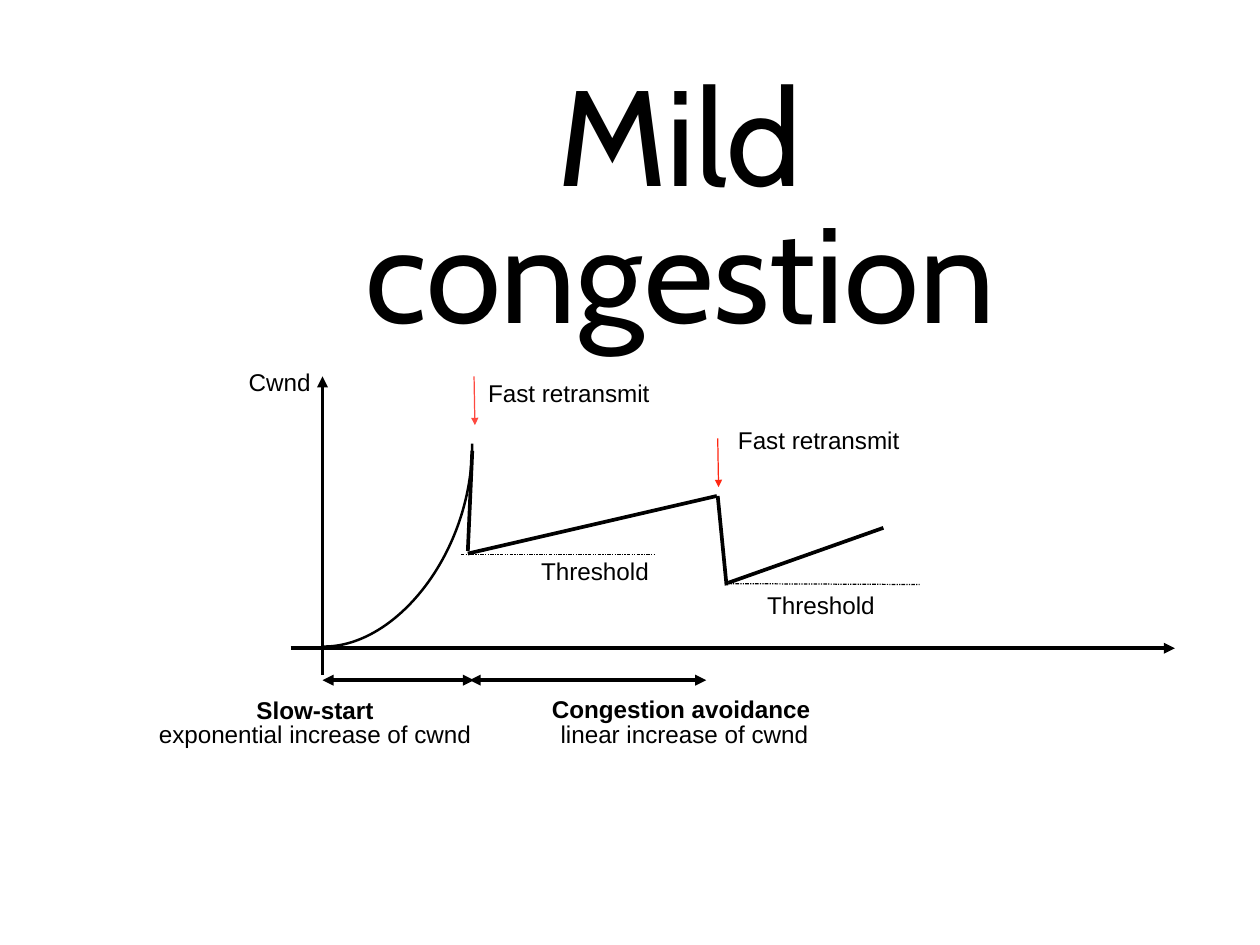
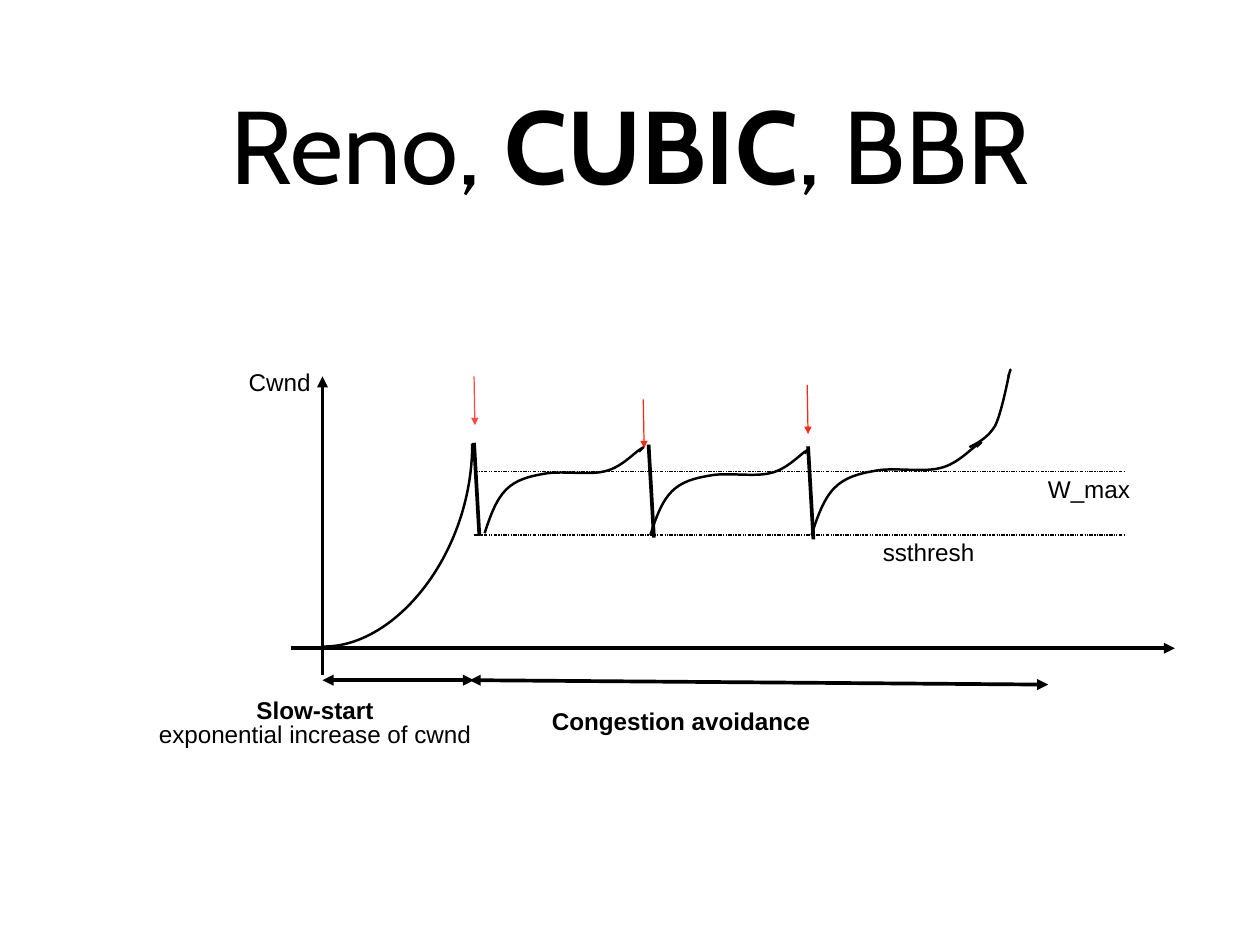
from lxml.etree import SubElement
from pptx import Presentation
from pptx.dml.color import RGBColor
from pptx.enum.shapes import MSO_CONNECTOR as CONN
from pptx.enum.text import MSO_ANCHOR as ANCHOR, MSO_AUTO_SIZE as AUTO, PP_ALIGN as ALIGN
from pptx.oxml.ns import qn
from pptx.util import Inches, Pt

COLORS = {"black": "000000", "coral": "FE4940", "red": "FF2712"}
SLOW_START = [(0.81, 0), (1.67, -1.05), (1.67, -2.29)]
CUBIC_WAVE = [
    (0.06, -0.19), (0.13, -0.38), (0.24, -0.49),
    (0.35, -0.6), (0.49, -0.64), (0.67, -0.67),
    (0.86, -0.71), (1.18, -0.65), (1.36, -0.7),
    (1.54, -0.74), (1.69, -0.91), (1.76, -0.95),
    (1.82, -0.99), (1.78, -0.96), (1.74, -0.92),
]
PROBING = [
    (0.1, -0.05), (0.21, -0.11), (0.29, -0.24),
    (0.36, -0.38), (0.43, -0.74), (0.45, -0.83),
    (0.48, -0.93), (0.46, -0.86), (0.44, -0.8),
]


class Deck:
    """Hold the shared style and the current slide."""

    def __init__(self):
        """Start an empty presentation."""
        self.prs = Presentation()
        self.prs.slide_width, self.prs.slide_height = Inches(14.22), Inches(10.67)

    def font(self, r, size, name, bold=False):
        """Format one run."""
        r.font.size, r.font.name, r.font.bold = Pt(size), name, bold
        r.font.color.rgb = RGBColor.from_string(COLORS["black"])

    def frame(self, tf, margin, wrap, fit):
        """Set up a vertically centred text frame."""
        tf.word_wrap, tf.auto_size, tf.vertical_anchor = wrap, fit, ANCHOR.MIDDLE
        tf.margin_left = tf.margin_right = tf.margin_top = tf.margin_bottom = Inches(margin)

    def slide(self, box, parts, size, spacing, bold_part=None):
        """Add a slide with a formatted title."""
        self.s = self.prs.slides.add_slide(self.prs.slide_layouts[5])
        sp = self.s.shapes.title
        sp.left, sp.top, sp.width, sp.height = map(Inches, box)
        self.frame(sp.text_frame, 0.06, True, AUTO.NONE)
        p = sp.text_frame.paragraphs[0]
        p.alignment, p.line_spacing = ALIGN.CENTER, spacing
        for part in parts:
            r = p.add_run()
            r.text = part
            self.font(r, size, "Cabin", part == bold_part)

    def label(self, x, y, w, text, h=0.29, bold_first=False):
        """Add a centred label, optionally with a bold first line."""
        sp = self.s.shapes.add_textbox(*map(Inches, (x, y, w, h)))
        tf = sp.text_frame
        tf.text = text
        self.frame(tf, 0, False, AUTO.SHAPE_TO_FIT_TEXT)
        for i, p in enumerate(tf.paragraphs):
            p.alignment, p.line_spacing = ALIGN.CENTER, 0.84
            self.font(p.runs[0], 19.7, "Arial", bold_first and i == 0)

    def line(self, x1, y1, x2, y2, width=3, color="black", dash=None, ends=()):
        """Add a straight line with optional dash and arrowheads."""
        sp = self.s.shapes.add_connector(CONN.STRAIGHT, *map(Inches, (x1, y1, x2, y2)))
        sp.line.width = Pt(width)
        sp.line.color.rgb = RGBColor.from_string(COLORS[color])
        ln = sp.line._get_or_add_ln()
        if dash:
            SubElement(ln, qn("a:prstDash"), val=dash)
        for end in ends:
            SubElement(ln, qn(f"a:{end}"), type="triangle")
        SubElement(sp._element.spPr, qn("a:effectLst"))

    def threshold(self, x1, y1, x2, y2):
        """Add a thin dashed level."""
        self.line(x1, y1, x2, y2, 1, dash="sysDashDotDot")

    def loss(self, x, y, color="red"):
        """Add a short arrow pointing down at a loss."""
        self.line(x, y, x + 0.01, y + 0.55, 1, color, ends=["tailEnd"])

    def span(self, x1, y1, x2, y2):
        """Add a double-headed phase arrow."""
        self.line(x1, y1, x2, y2, ends=["headEnd", "tailEnd"])

    def curve(self, x, y, controls, sx=1, sy=1):
        """Add an open curve of cubic segments starting at a point."""
        fb = self.s.shapes.build_freeform(Inches(x), Inches(y))
        fb.add_line_segments([(Inches(x + sx * dx), Inches(y + sy * dy))
                              for dx, dy in controls], close=False)
        sp = fb.convert_to_shape()
        outline = next(sp._element.iter(qn("a:path")))
        steps = outline.findall(qn("a:lnTo"))
        for i in range(0, len(steps), 3):
            cubic_step = SubElement(outline, qn("a:cubicBezTo"))
            for step in steps[i:i + 3]:
                cubic_step.append(step[0])
                outline.remove(step)
        sp.shadow.inherit = False
        sp.fill.background()
        sp.line.width = Pt(2)
        sp.line.color.rgb = RGBColor.from_string(COLORS["black"])

    def slow_start(self):
        """Add the axes and the slow-start phase."""
        self.line(3.64, 7.62, 3.64, 4.25, ends=["tailEnd"])
        self.line(3.28, 7.32, 13.26, 7.32, ends=["tailEnd"])
        self.label(2.8, 4.19, 0.71, "Cwnd")
        self.curve(3.66, 7.3, SLOW_START)
        self.loss(5.35, 4.25, "coral")
        self.span(3.64, 7.68, 5.35, 7.68)
        self.label(1.77, 7.9, 3.57, "Slow-start\nexponential increase of cwnd", 0.56, True)


def mild_congestion(d):
    """Build the slide on mild congestion."""
    d.slide((2.54, 1.55, 10.27, 1.73), ["Mild congestion"], 110.3, 0.84)
    d.slow_start()
    for x, y in [(5.5, 4.32), (8.32, 4.85)]:
        d.label(x, y, 1.84, "Fast retransmit")
    d.loss(8.1, 4.95)
    for ends in [(5.33, 5.09, 5.28, 6.22), (5.28, 6.25, 8.09, 5.6),
                 (8.1, 5.6, 8.2, 6.61), (8.22, 6.58, 9.97, 5.96)]:
        d.line(*ends)
    d.threshold(5.2, 6.26, 7.39, 6.26)
    d.threshold(8.19, 6.59, 10.38, 6.6)
    for x, y in [(6.1, 6.33), (8.65, 6.71)]:
        d.label(x, y, 1.23, "Threshold")
    d.span(5.3, 7.68, 7.97, 7.68)
    d.label(6.21, 7.89, 3.03, "Congestion avoidance \nlinear increase of cwnd", 0.56, True)


def cubic(d):
    """Build the slide on CUBIC."""
    d.slide((1.39, 0.28, 11.44, 2.67), ["Reno, ", "CUBIC", ", BBR"], 84, 1, "CUBIC")
    d.slow_start()
    d.loss(7.26, 4.51)
    d.loss(9.11, 4.35)
    d.span(5.3, 7.68, 11.83, 7.73)
    d.label(6.21, 8.02, 3.03, "Congestion avoidance ", bold_first=True)
    for y in (6.04, 5.32):
        d.threshold(5.35, y, 12.7, y)
    d.label(9.96, 6.11, 1.04, "ssthresh")
    d.label(11.82, 5.4, 0.94, "W_max")
    for x, y in [(5.35, 5), (7.32, 5.02), (9.12, 5.04)]:
        d.line(x, y, x + 0.06, y + 1.05)
    for x, y, sx, sy in [(5.47, 6.02, 1, 1), (7.34, 6.04, 1, 1), (9.16, 6.04, 1.07, 1.08)]:
        d.curve(x, y, CUBIC_WAVE, sx, sy)
    d.curve(10.94, 5.05, PROBING)


deck = Deck()
mild_congestion(deck)
cubic(deck)
deck.prs.save("out.pptx")
